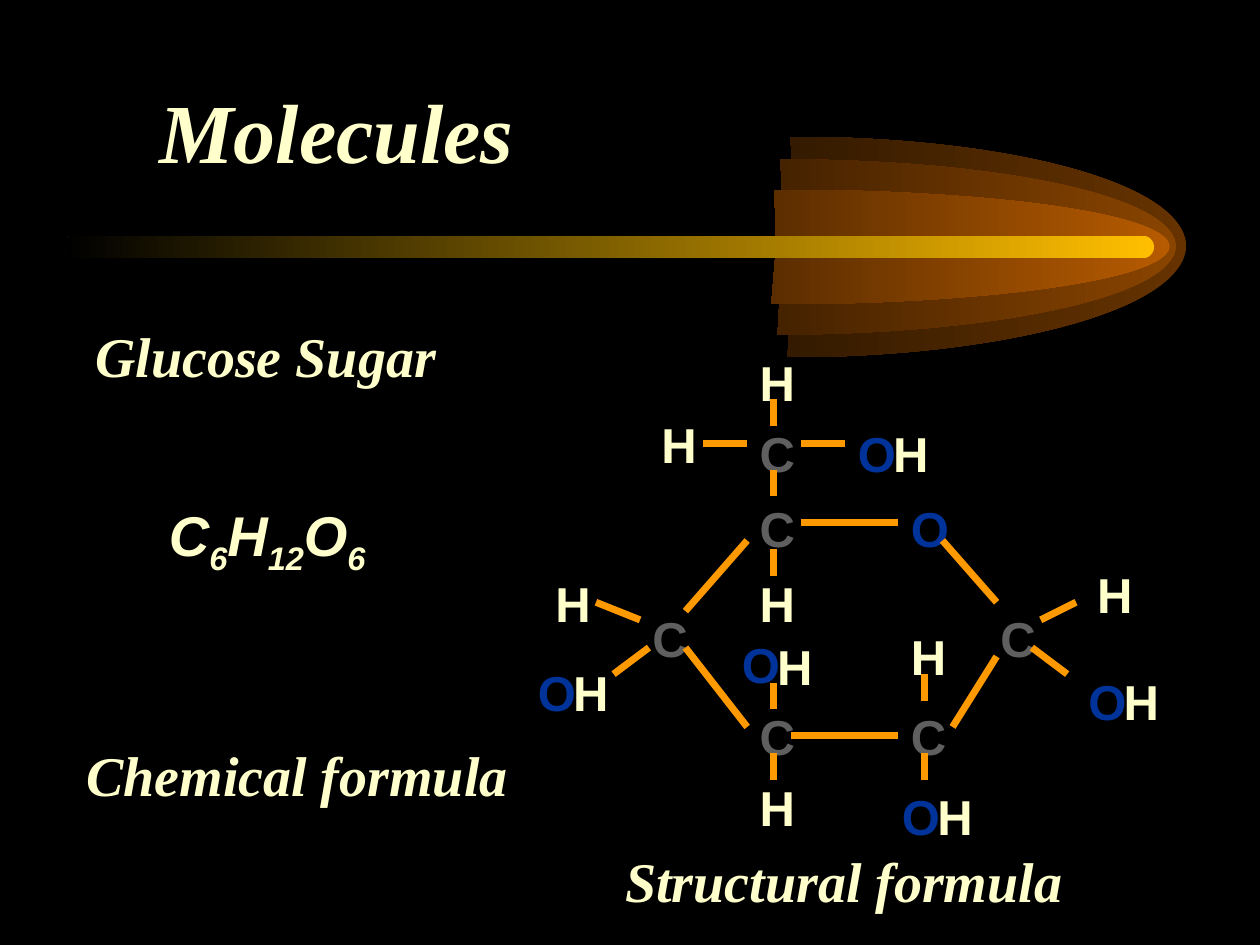
import lxml.etree
import pptx
import pptx.dml.color
import pptx.enum.shapes
import pptx.enum.text
import pptx.oxml.ns
import pptx.util
from pptx.util import Inches

BLACK = pptx.dml.color.RGBColor(0x00, 0x00, 0x00)
CREAM = pptx.dml.color.RGBColor(0xFF, 0xFF, 0xCC)
GRAY = pptx.dml.color.RGBColor(0x5F, 0x5F, 0x5F)
BLUE = pptx.dml.color.RGBColor(0x00, 0x33, 0x99)
ORANGE = pptx.dml.color.RGBColor(0xFF, 0x99, 0x00)
GOLD = pptx.dml.color.RGBColor(0xFF, 0xBF, 0x00)

# Colour at the tip, then left offset from the bar and height of each flame
FLAMES = [
    (pptx.dml.color.RGBColor(0x66, 0x33, 0x00), 2.66, 1.75),
    (pptx.dml.color.RGBColor(0x89, 0x44, 0x00), 2.58, 1.39),
    (pptx.dml.color.RGBColor(0xB7, 0x5B, 0x00), 2.53, 0.91),
]
FLAME_WIDTH = 6.26
# Right half of an ellipse on a 1000 by 1000 grid
FLAME_GRID = 1000
FLAME_START = (498, 0)
FLAME_CURVES = [
    [(677, 0), (843, 90), (933, 246)],
    [(1022, 400), (1021, 594), (931, 750)],
    [(842, 903), (676, 1000), (494, 1000)],
]
FLAME_CENTER = (500, 500)

ATOM_COLORS = {"C": GRAY, "O": BLUE, "H": CREAM}
ATOM_WIDTHS = {"C": 0.42, "O": 0.49, "H": 0.42}
HYDROXYL_STEP = 0.28
GROUPS = {
    "C": [(1.76, 0.56), (1.76, 1.16), (0.91, 2.03), (3.67, 2.03),
          (1.76, 2.81), (2.96, 2.81)],
    "H": [(1.76, 0), (0.98, 0.49), (1.76, 1.75), (0.14, 1.75),
          (4.44, 1.68), (2.96, 2.17), (1.76, 3.37), (1.9, 2.25)],
    "O": [(2.96, 1.16), (1.62, 2.24)],
    "OH": [(2.54, 0.56), (4.37, 2.53), (2.89, 3.44), (0, 2.46)],
}

SHORT_BOND = 0.21
VERTICAL_BONDS = {1.97: [0.42, 0.98, 1.61, 2.67, 3.23], 3.17: [2.6, 3.23]}
OTHER_BONDS = [
    (3.31, 1.54, 3.74, 2.03), (0.7, 2.6, 0.98, 2.39),
    (1.76, 3.02, 1.27, 2.39), (4.09, 2.17, 4.37, 2.03),
    (0.56, 2.03, 0.91, 2.17), (1.27, 2.1, 1.76, 1.54),
    (4.02, 2.39, 4.3, 2.6), (2.19, 1.4, 2.96, 1.4),
    (3.39, 3.02, 3.74, 2.46), (2.11, 3.09, 2.96, 3.09),
    (1.41, 0.77, 1.76, 0.77), (2.19, 0.77, 2.54, 0.77),
]


def add_text(slide, text, left, top, width, height, *, size=32,
             font="Times New Roman", color=CREAM, italic=True, centered=True,
             before=20):
    """Add a bold text box; text is a string or a list of (string, is_subscript)."""
    box = slide.shapes.add_textbox(Inches(left), Inches(top), Inches(width), Inches(height))
    frame = box.text_frame
    frame.word_wrap = True
    frame.auto_size = pptx.enum.text.MSO_AUTO_SIZE.SHAPE_TO_FIT_TEXT
    paragraph = frame.paragraphs[0]
    paragraph.space_before = pptx.util.Pt(before)
    alignment = pptx.enum.text.PP_ALIGN
    paragraph.alignment = alignment.CENTER if centered else alignment.LEFT
    for part, is_subscript in [(text, False)] if isinstance(text, str) else text:
        run = paragraph.add_run()
        run.text = part
        run.font.name = font
        run.font.size = pptx.util.Pt(size)
        run.font.bold = True
        run.font.italic = italic
        run.font.color.rgb = color
        if is_subscript:
            run.font._element.set("baseline", "-25000")


def fade_to_black(shape, color):
    """Fill the shape with a gradient from the colour at right to black at left."""
    shape.shadow.inherit = False
    shape.line.fill.background()
    shape.fill.gradient()
    shape.fill.gradient_angle = 180
    for stop, stop_color in zip(shape.fill.gradient_stops, (color, BLACK)):
        stop.color.rgb = stop_color


def add_path_command(path, name, points=()):
    command = lxml.etree.SubElement(path, pptx.oxml.ns.qn(f"a:{name}"))
    for x, y in points:
        lxml.etree.SubElement(command, pptx.oxml.ns.qn("a:pt"), x=str(x), y=str(y))


def add_flame(slide, color, left, top, width, height):
    """Add a curved outline that occupies the right half of the box."""
    right, bottom = Inches(left + width), Inches(top + height)
    builder = slide.shapes.build_freeform(Inches(left), Inches(top))
    builder.add_line_segments([(right, Inches(top)), (right, bottom), (Inches(left), bottom)])
    flame = builder.convert_to_shape()
    path_list = flame._element.spPr.find(".//" + pptx.oxml.ns.qn("a:pathLst"))
    path_list.remove(path_list[0])
    for filled in (True, False):
        path = lxml.etree.SubElement(path_list, pptx.oxml.ns.qn("a:path"),
                                     w=str(FLAME_GRID), h=str(FLAME_GRID))
        add_path_command(path, "moveTo", [FLAME_START])
        for curve in FLAME_CURVES:
            add_path_command(path, "cubicBezTo", curve)
        if filled:
            add_path_command(path, "lnTo", [FLAME_CENTER])
            add_path_command(path, "close")
        else:
            path.set("fill", "none")
    fade_to_black(flame, color)


def add_comet(slide, left, top, width, height):
    """Draw nested flames behind a glowing bar that fills the box."""
    middle = top + height / 2
    for color, offset, flame_height in FLAMES:
        add_flame(slide, color, left + offset, middle - flame_height / 2,
                  FLAME_WIDTH, flame_height)
    bar = slide.shapes.add_shape(
        pptx.enum.shapes.MSO_SHAPE.ROUNDED_RECTANGLE,
        Inches(left), Inches(top), Inches(width), Inches(height))
    bar.adjustments[0] = 0.5
    fade_to_black(bar, GOLD)


def add_bond(slide, x1, y1, x2, y2):
    bond = slide.shapes.add_connector(
        pptx.enum.shapes.MSO_CONNECTOR.STRAIGHT,
        Inches(x1), Inches(y1), Inches(x2), Inches(y2))
    bond.line.color.rgb = ORANGE
    bond.line.width = pptx.util.Pt(4)
    lxml.etree.SubElement(bond._element.spPr, pptx.oxml.ns.qn("a:effectLst"))


def add_structural_formula(slide, left, top):
    for symbols, places in GROUPS.items():
        for x, y in places:
            for index, symbol in enumerate(symbols):
                add_text(slide, symbol, left + x + index * HYDROXYL_STEP, top + y,
                         ATOM_WIDTHS[symbol], 0.57, size=28, font="Arial",
                         color=ATOM_COLORS[symbol], italic=False, centered=False,
                         before=17.5)
    vertical = [(x, y, x, y + SHORT_BOND) for x, starts in VERTICAL_BONDS.items()
                for y in starts]
    for x1, y1, x2, y2 in vertical + OTHER_BONDS:
        add_bond(slide, left + x1, top + y1, left + x2, top + y2)
    add_text(slide, "Structural formula ", left + 0.5, top + 3.92, 4.17, 0.64)


def add_chemical_formula(slide, left, top):
    formula = [("C", False), ("6", True), ("H", False), ("12", True),
               ("O", False), ("6", True)]
    add_text(slide, formula, left + 0.5, top, 2.58, 0.71, font="Arial")
    add_text(slide, "Chemical formula ", left, top + 1.91, 4.17, 0.64)


def main():
    presentation = pptx.Presentation()
    presentation.slide_width = Inches(10)
    presentation.slide_height = Inches(7.5)
    slide = presentation.slides.add_slide(presentation.slide_layouts[6])
    slide.background.fill.solid()
    slide.background.fill.fore_color.rgb = BLACK
    add_comet(slide, 0.5, 1.87, 8.66, 0.18)
    add_text(slide, "Molecules ", 0.67, 0.58, 4.17, 0.9, size=48, before=30)
    add_text(slide, "Glucose Sugar ", 0.5, 2.5, 3.33, 0.64)
    add_chemical_formula(slide, 0.33, 3.92)
    add_structural_formula(slide, 4.17, 2.75)
    presentation.save("out.pptx")


if __name__ == "__main__":
    main()
